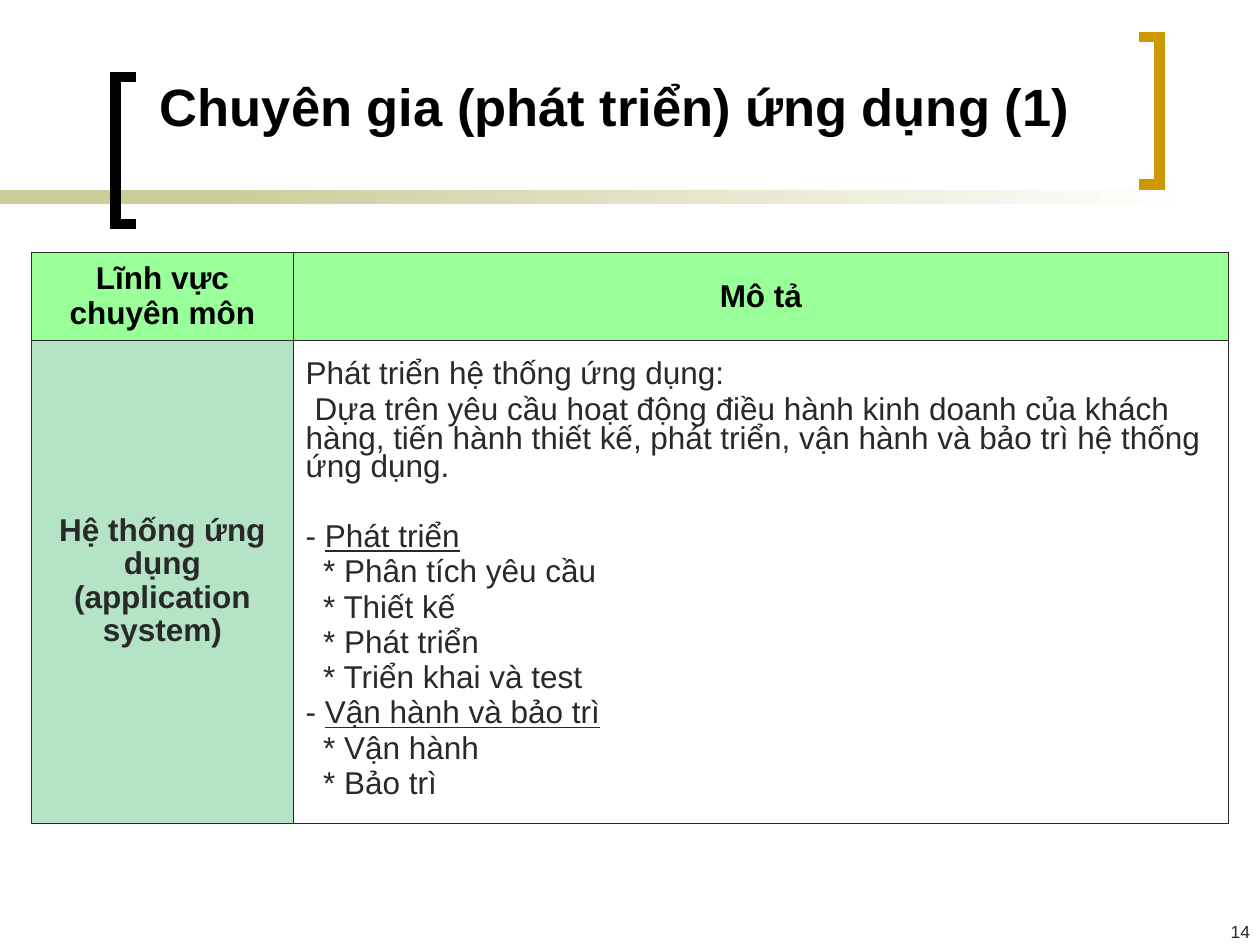
from dataclasses import dataclass

from lxml import etree
from pptx import Presentation
from pptx.dml.color import RGBColor
from pptx.enum.shapes import MSO_SHAPE
from pptx.enum.text import MSO_ANCHOR, MSO_AUTO_SIZE, PP_ALIGN
from pptx.oxml.ns import qn
from pptx.util import Cm, Pt

RECTANGLE = MSO_SHAPE.RECTANGLE
MIDDLE = MSO_ANCHOR.MIDDLE
NO_AUTOFIT = MSO_AUTO_SIZE.NONE
LEFT, CENTER, RIGHT = PP_ALIGN.LEFT, PP_ALIGN.CENTER, PP_ALIGN.RIGHT
TITLE_ONLY = 5


@dataclass(frozen=True)
class Theme:
    font: str = "Arial"
    black: str = "000000"
    ink: str = "292929"
    white: str = "FFFFFF"
    khaki: str = "CCCC99"
    gold: str = "CC9900"
    header: str = "99FF99"
    field: str = "B5E3C6"
    title_size: float = 30
    table_size: float = 18
    number_size: float = 10
    bracket_width: float = 6
    border_width: float = 0.45


class SlideBuilder:
    """Adds styled elements to one slide."""

    def __init__(self, slide, theme):
        self.slide = slide
        self.theme = theme

    def run(self, paragraph, text, size, color, bold=False, underline=False):
        run = paragraph.add_run()
        run.text = text
        font = run.font
        font.name, font.size = self.theme.font, Pt(size)
        font.bold, font.underline = bold, underline
        font.color.rgb = RGBColor.from_string(color)

    def title(self, text, left, top, width, height):
        title = self.slide.shapes.title
        title.left, title.top = Cm(left), Cm(top)
        title.width, title.height = Cm(width), Cm(height)
        frame = title.text_frame
        frame.auto_size, frame.vertical_anchor = NO_AUTOFIT, MIDDLE
        frame.paragraphs[0].alignment = LEFT
        self.run(frame.paragraphs[0], text, self.theme.title_size, self.theme.black, bold=True)

    def band(self, left, top, width, height, start, end):
        band = self.slide.shapes.add_shape(RECTANGLE, Cm(left), Cm(top), Cm(width), Cm(height))
        band.shadow.inherit = False
        band.line.fill.background()
        band.fill.gradient()
        band.fill.gradient_angle = 0
        for stop, color, position in zip(band.fill.gradient_stops, (start, end), (0, 1)):
            stop.color.rgb = RGBColor.from_string(color)
            stop.position = position

    def bracket(self, spine, arm, top, height, color):
        outline = self.slide.shapes.build_freeform(Cm(arm), Cm(top))
        bottom = Cm(top + height)
        outline.add_line_segments(
            [(Cm(spine), Cm(top)), (Cm(spine), bottom), (Cm(arm), bottom)], close=False)
        bracket = outline.convert_to_shape()
        bracket.shadow.inherit = False
        bracket.fill.background()
        bracket.line.color.rgb = RGBColor.from_string(color)
        bracket.line.width = Pt(self.theme.bracket_width)
        etree.SubElement(bracket.line._get_or_add_ln(), qn("a:miter"), lim="800000")

    def page_number(self, text, left, top, width, height):
        box = self.slide.shapes.add_textbox(Cm(left), Cm(top), Cm(width), Cm(height))
        frame = box.text_frame
        frame.word_wrap, frame.margin_right = True, Cm(0.2)
        frame.paragraphs[0].alignment = RIGHT
        self.run(frame.paragraphs[0], text, self.theme.number_size, self.theme.ink)

    def table(self, left, top, widths, heights):
        table = self.slide.shapes.add_table(
            len(heights), len(widths), Cm(left), Cm(top), Cm(sum(widths)), Cm(sum(heights))).table
        for column, width in zip(table.columns, widths):
            column.width = Cm(width)
        for row, height in zip(table.rows, heights):
            row.height = Cm(height)
        return table

    def cell(self, cell, fill):
        properties = cell._tc.get_or_add_tcPr()
        for side in ("a:lnL", "a:lnR", "a:lnT", "a:lnB"):
            border = etree.SubElement(
                properties, qn(side), w=str(Pt(self.theme.border_width)))
            solid = etree.SubElement(border, qn("a:solidFill"))
            etree.SubElement(solid, qn("a:srgbClr"), val=self.theme.ink)
        cell.fill.solid()
        cell.fill.fore_color.rgb = RGBColor.from_string(fill)
        cell.vertical_anchor = MIDDLE

    def label(self, cell, text, fill, color, spacing=1.0):
        self.cell(cell, fill)
        paragraph = cell.text_frame.paragraphs[0]
        paragraph.alignment, paragraph.line_spacing = CENTER, spacing
        self.run(paragraph, text, self.theme.table_size, color, bold=True)

    def paragraph(self, frame, runs, spacing=1.0, before=0, margin=0, indent=0):
        first = frame.paragraphs[0]
        paragraph = frame.add_paragraph() if first.runs else first
        paragraph.line_spacing, paragraph.space_before = spacing, Pt(before)
        properties = paragraph._p.get_or_add_pPr()
        properties.set("marL", str(Cm(margin)))
        properties.set("indent", str(Cm(indent)))
        for text, underline in runs:
            self.run(paragraph, text, self.theme.table_size, self.theme.ink, underline=underline)


def main():
    theme = Theme()
    presentation = Presentation()
    presentation.slide_width, presentation.slide_height = Cm(25.4), Cm(19.05)
    slide = presentation.slides.add_slide(presentation.slide_layouts[TITLE_ONLY])
    builder = SlideBuilder(slide, theme)

    builder.band(0, 3.84, 5.92, 0.28, theme.khaki, theme.khaki)
    builder.band(4.01, 3.84, 20.12, 0.28, theme.khaki, theme.white)
    builder.bracket(2.33, 2.75, 1.55, 2.97, theme.black)
    builder.bracket(23.38, 22.96, 0.75, 2.97, theme.gold)
    builder.title("Chuyên gia (phát triển) ứng dụng (1)", 2.97, 1.32, 21.18, 1.6)

    table = builder.table(0.64, 5.08, (5.27, 18.86), (1.78, 9.73))
    for column, heading in enumerate(("Lĩnh vực chuyên môn", "Mô tả")):
        builder.label(table.cell(0, column), heading, theme.header, theme.black)
    builder.label(table.cell(1, 0), "Hệ thống ứng dụng (application system)",
                  theme.field, theme.ink, spacing=0.95)

    description = table.cell(1, 1)
    builder.cell(description, theme.white)
    frame = description.text_frame
    builder.paragraph(frame, [("Phát triển hệ thống ứng dụng:", False)], spacing=0.8)
    builder.paragraph(
        frame,
        [("Dựa trên yêu cầu hoạt động điều hành kinh doanh của khách hàng, tiến hành thiết kế, "
          "phát triển, vận hành và bảo trì hệ thống ứng dụng.", False)],
        spacing=0.8, before=4.5, indent=0.18)
    activities = (
        ("Phát triển", 20.6,
         ("Phân tích yêu cầu", "Thiết kế", "Phát triển", "Triển khai và test")),
        ("Vận hành và bảo trì", 0, ("Vận hành", "Bảo trì")),
    )
    for activity, gap, tasks in activities:
        builder.paragraph(frame, [("- ", False), (activity, True)], before=gap)
        for task in tasks:
            builder.paragraph(frame, [(f"* {task}", False)], margin=0.35)

    builder.page_number("14", 20.24, 18.44, 5.16, 0.61)
    presentation.save("out.pptx")


if __name__ == "__main__":
    main()
